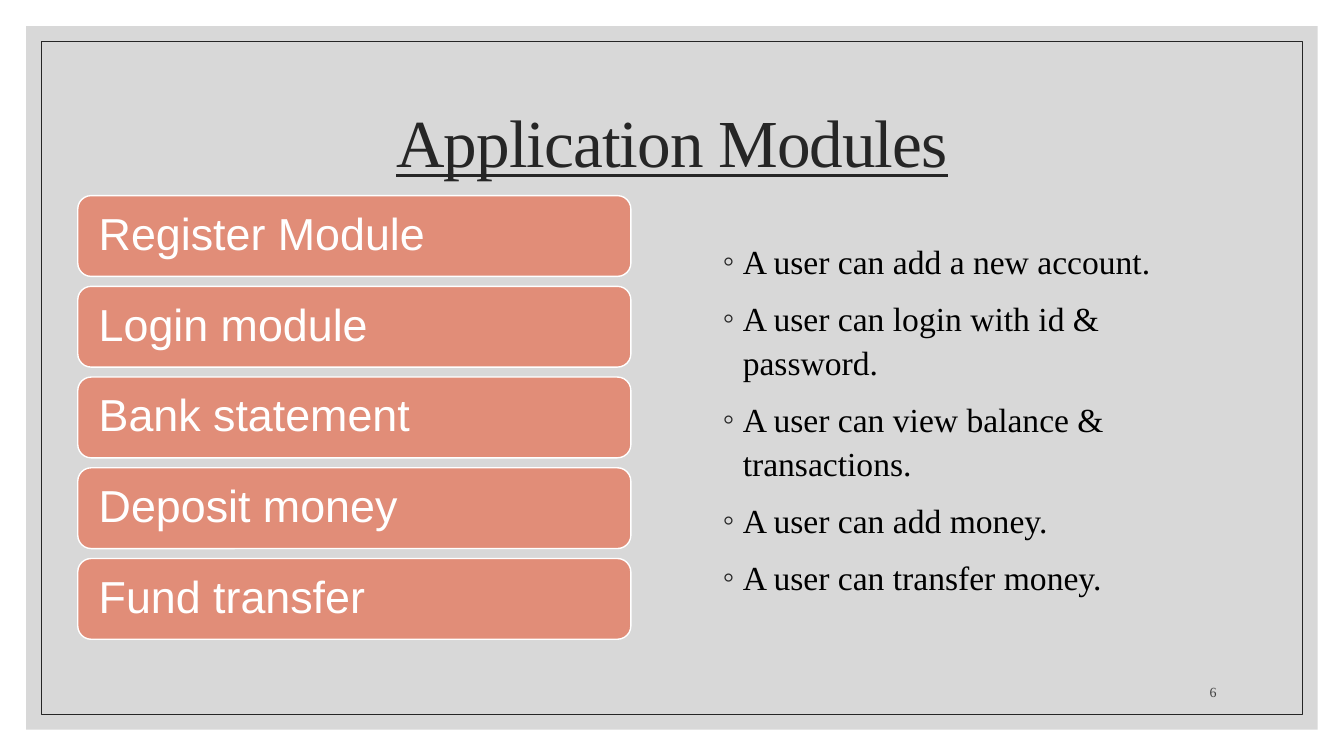
from dataclasses import dataclass

from lxml.etree import SubElement
from pptx import Presentation
from pptx.dml.color import RGBColor
from pptx.enum.shapes import MSO_SHAPE
from pptx.enum.text import MSO_ANCHOR, PP_ALIGN
from pptx.oxml.ns import qn
from pptx.util import Cm, Pt


@dataclass(frozen=True)
class Theme:
    """Colours, fonts and type sizes of the deck."""

    backdrop: str = "BFBFBF"
    ink: str = "262626"
    card: str = "E18D78"
    white: str = "FFFFFF"
    body: str = "000000"
    muted: str = "404040"
    serif: str = "Times New Roman"
    sans: str = "Arial"
    title_size: int = 48
    card_size: int = 32
    body_size: int = 24
    number_size: int = 10


@dataclass(frozen=True)
class Box:
    """A rectangle measured in centimetres."""

    left: float
    top: float
    width: float
    height: float

    def inset(self, margin):
        """Return the box shrunk by a margin on every side."""
        return Box(self.left + margin, self.top + margin,
                   self.width - 2 * margin, self.height - 2 * margin)

    def lengths(self):
        """Return left, top, width and height as lengths."""
        return [Cm(value) for value in (self.left, self.top, self.width, self.height)]


THEME = Theme()
SLIDE = Box(0, 0, 33.87, 19.05)
MODULES = ["Register Module", "Login module", "Bank statement", "Deposit money", "Fund transfer"]
ABILITIES = [
    "A user can add a new account.",
    "A user can login with id & password.",
    "A user can view balance & transactions.",
    "A user can add money.",
    "A user can transfer money.",
]


def write(para, text, *, size, color, font=THEME.serif, align=PP_ALIGN.LEFT,
          line_spacing=1.0, underline=False, tracking=0):
    """Write formatted text into a paragraph."""
    para.alignment = align
    para.line_spacing = line_spacing
    span = para.add_run()
    span.text = text
    span.font.size = Pt(size)
    span.font.name = font
    span.font.color.rgb = RGBColor.from_string(color)
    span.font.underline = underline
    if tracking:
        span.font._element.set("spc", str(round(tracking * 100)))


def add_text_box(page, box, anchor=MSO_ANCHOR.TOP):
    """Add a wrapping text box and return its text frame."""
    frame = page.shapes.add_textbox(*box.lengths()).text_frame
    frame.word_wrap = True
    frame.vertical_anchor = anchor
    return frame


def add_panel(page, box, kind=MSO_SHAPE.RECTANGLE, *, fill=None, line=None, weight=1):
    """Add a shape with an optional fill and outline."""
    panel = page.shapes.add_shape(kind, *box.lengths())
    panel.shadow.inherit = False
    if fill:
        panel.fill.solid()
        panel.fill.fore_color.rgb = RGBColor.from_string(fill)
    else:
        panel.fill.background()
    if line:
        panel.line.color.rgb = RGBColor.from_string(line)
        panel.line.width = Pt(weight)
    else:
        panel.line.fill.background()
    return panel


def add_bullet(para, indent):
    """Give a paragraph a hanging ring bullet."""
    properties = para._p.get_or_add_pPr()
    properties.set("marL", str(Cm(indent)))
    properties.set("indent", str(-Cm(indent)))
    color = SubElement(properties, qn("a:buClr"))
    SubElement(color, qn("a:srgbClr"), val=THEME.ink)
    SubElement(properties, qn("a:buFont"), typeface=THEME.serif)
    SubElement(properties, qn("a:buChar"), char="◦")


def draw_backdrop(page, box):
    """Draw the translucent backdrop and the thin frame inside it."""
    backdrop = add_panel(page, box, fill=THEME.backdrop)
    color = backdrop._element.spPr.find(f"{qn('a:solidFill')}/{qn('a:srgbClr')}")
    SubElement(color, qn("a:alpha"), val="60000")
    add_panel(page, box.inset(0.38), line=THEME.ink, weight=0.5)


def draw_title(page, box):
    """Draw the underlined slide title."""
    frame = add_text_box(page, box, MSO_ANCHOR.MIDDLE)
    write(frame.paragraphs[0], "Application Modules", size=THEME.title_size, color=THEME.ink,
          align=PP_ALIGN.CENTER, line_spacing=0.9, underline=True, tracking=-0.7)


def draw_modules(page, box, gap=0.25):
    """Stack one rounded card per module, evenly spaced."""
    height = (box.height - gap * (len(MODULES) - 1)) / len(MODULES)
    for index, module in enumerate(MODULES):
        place = Box(box.left, box.top + index * (height + gap), box.width, height)
        card = add_panel(page, place, MSO_SHAPE.ROUNDED_RECTANGLE,
                         fill=THEME.card, line=THEME.white)
        frame = card.text_frame
        frame.word_wrap = True
        frame.vertical_anchor = MSO_ANCHOR.MIDDLE
        frame.margin_left = frame.margin_right = Cm(0.43)
        write(frame.paragraphs[0], module, size=THEME.card_size, color=THEME.white,
              font=THEME.sans, line_spacing=0.9)


def draw_abilities(page, box):
    """List what a user can do as bullets."""
    frame = add_text_box(page, box)
    for index, ability in enumerate(ABILITIES):
        para = frame.add_paragraph() if index else frame.paragraphs[0]
        add_bullet(para, 0.51)
        write(para, ability, size=THEME.body_size, color=THEME.body, line_spacing=1.1)
        if index:
            para.space_before = Pt(9)


def draw_page_number(page, box):
    """Draw the page number at the lower right."""
    frame = add_text_box(page, box, MSO_ANCHOR.BOTTOM)
    write(frame.paragraphs[0], "6", size=THEME.number_size, color=THEME.muted,
          align=PP_ALIGN.RIGHT)


def draw_modules_slide(page, box):
    """Place every region of the modules slide."""
    draw_backdrop(page, box.inset(0.66))
    draw_title(page, Box(box.left + 2.97, box.top + 1.78, 27.94, 3.81))
    draw_modules(page, Box(box.left + 1.96, box.top + 4.93, 13.94, 11.18))
    draw_abilities(page, Box(box.left + 17.96, box.top + 5.84, 12.95, 10.41))
    draw_page_number(page, Box(box.left + 28.57, box.top + 16.76, 2.34, 1.02))


def main():
    """Build and save the deck."""
    deck = Presentation()
    deck.slide_width, deck.slide_height = Cm(SLIDE.width), Cm(SLIDE.height)
    page = deck.slides.add_slide(deck.slide_layouts[6])
    draw_modules_slide(page, SLIDE)
    deck.save("out.pptx")


if __name__ == "__main__":
    main()
